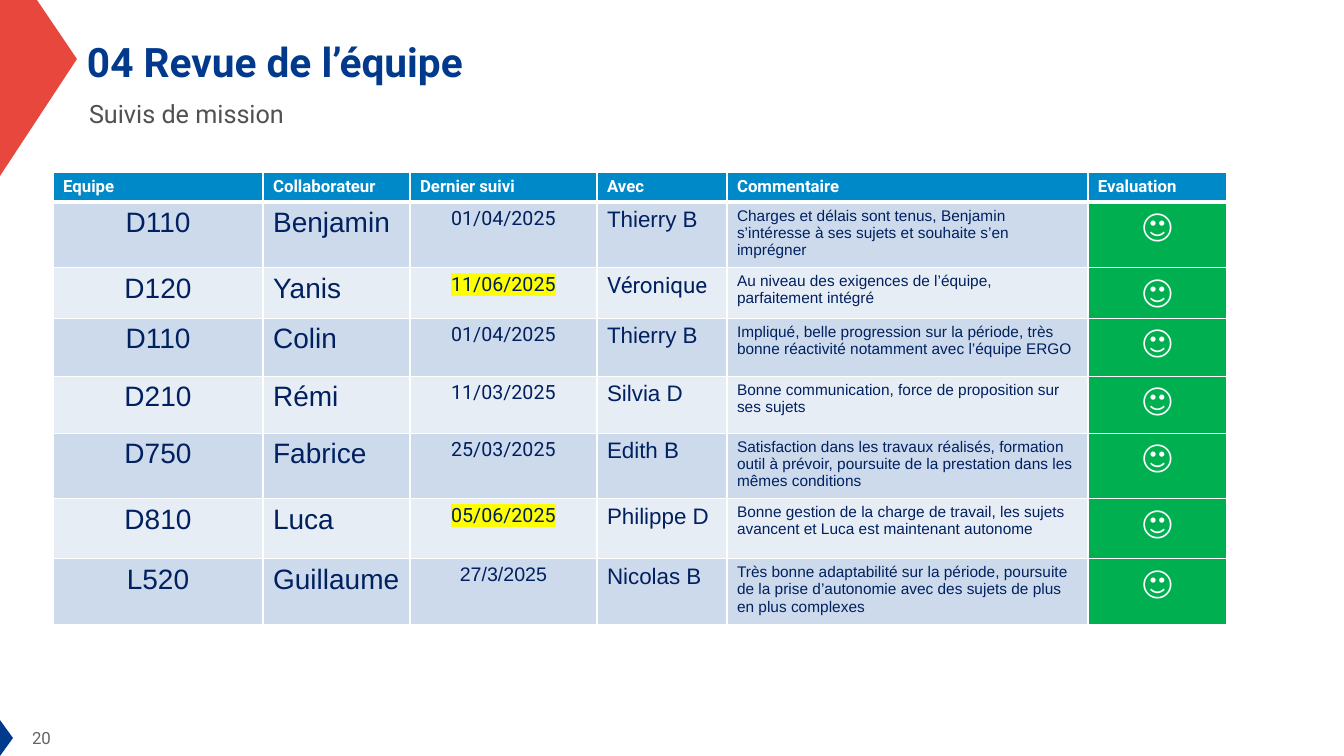
from pptx import Presentation
from pptx.dml.color import RGBColor
from pptx.enum import text
from pptx.oxml import parse_xml
from pptx.oxml.ns import nsdecls
from pptx.util import Pt

# Content
HEAD = ["Equipe", "Collaborateur", "Dernier suivi", "Avec", "Commentaire", "Evaluation"]
TEAM = [
    ("D110", "Benjamin", "01/04/2025", "Thierry B",
     "Charges et délais sont tenus, Benjamin s’intéresse à ses sujets et souhaite s’en imprégner"),
    ("D120", "Yanis", "11/06/2025", "Véronique",
     "Au niveau des exigences de l’équipe, parfaitement intégré"),
    ("D110", "Colin", "01/04/2025", "Thierry B",
     "Impliqué, belle progression sur la période, très bonne réactivité notamment avec l’équipe ERGO"),
    ("D210", "Rémi", "11/03/2025", "Silvia D",
     "Bonne communication, force de proposition sur ses sujets"),
    ("D750", "Fabrice", "25/03/2025", "Edith B",
     "Satisfaction dans les travaux réalisés, formation outil à prévoir, poursuite de la prestation "
     "dans les mêmes conditions"),
    ("D810", "Luca", "05/06/2025", "Philippe D",
     "Bonne gestion de la charge de travail, les sujets avancent et Luca est maintenant autonome"),
    ("L520", "Guillaume", "27/3/2025", "Nicolas B",
     "Très bonne adaptabilité sur la période, poursuite de la prise d’autonomie avec des sujets "
     "de plus en plus complexes"),
]
MOOD = "🙂"
RECENT = {"11/06/2025", "05/06/2025"}
FONTS = {"Véronique": "Roboto", "27/3/2025": "Arial"}
WIDTHS = [210, 147, 187, 130, 361, 139]
HEIGHTS = [28, 60, 47, 58, 57, 60, 60, 47]
BANDS = ["CCDAEB", "E7EDF5"]
WHITE, NAVY, YELLOW = "FFFFFF", "002060", "FFFF00"

# Text format of each body column: size, font, colour, centred
COLS = [
    (20, "Arial", NAVY, True),
    (20, "Arial", NAVY, False),
    (14, "Roboto", NAVY, True),
    (16, "Arial", NAVY, False),
    (11, "Arial", NAVY, False),
    (24, "Arial", WHITE, True),
]

# Outlines: points in px, fill
MARKS = [
    ([(0, 0), (37, 0), (77, 59), (0, 176)], "E7473D"),
    ([(0, 720), (13, 738), (0, 756)], "003A8D"),
]

# Text boxes: words, place, inset, wrap, anchor, line spacing, font
BOXES = [
    ("04 Revue de l’équipe", (79, 0, 1245, 128), 8, True, "MIDDLE", 0.9,
     (29, "Roboto", "013A8D", True)),
    ("20", (24, 720, 44, 36), 8, True, "TOP", 1.0, (12, "Roboto", "666565", False)),
    ("Suivis de mission", (79, 93, 218, 40), 10, False, "TOP", 1.0,
     (18, "Roboto", "515151", False)),
]

SCALE = 914400 / 100.8


def px(n):
    return round(n * SCALE)


def rgb(code):
    return RGBColor.from_string(code)


def fill(part, code):
    part.fill.solid()
    part.fill.fore_color.rgb = rgb(code)


def write(frame, words, size, face, code, bold=False, mark=None):
    para = frame.paragraphs[0]
    run = para.add_run()
    run.text = words
    run.font.color.rgb = rgb(code)
    if mark:
        run.font._element.append(parse_xml(
            f'<a:highlight {nsdecls("a")}><a:srgbClr val="{mark}"/></a:highlight>'))
    for key, val in {"size": Pt(size), "name": face, "bold": bold}.items():
        setattr(run.font, key, val)
    return para


def edge(cell, row):
    props = cell._tc.get_or_add_tcPr()
    for side in "LRTB":
        thick = (row, side) in {(0, "B"), (1, "T")}
        props.append(parse_xml(
            f'<a:ln{side} {nsdecls("a")} w="{Pt(3 if thick else 1)}"><a:solidFill>'
            f'<a:srgbClr val="{WHITE}"/></a:solidFill></a:ln{side}>'))


deck = Presentation()
deck.slide_width, deck.slide_height = px(1344), px(756)
slide = deck.slides.add_slide(deck.slide_layouts[6])

# Corner marks
for points, code in MARKS:
    pen = slide.shapes.build_freeform(*points[0], scale=SCALE)
    pen.add_line_segments(points[1:])
    mark = pen.convert_to_shape()
    mark.shadow.inherit = False
    mark.line.fill.background()
    fill(mark, code)

# Title, page number and subtitle
for words, place, inset, wrap, anchor, space, font in BOXES:
    frame = slide.shapes.add_textbox(*map(px, place)).text_frame
    style = {"word_wrap": wrap, "vertical_anchor": text.MSO_ANCHOR[anchor],
             "margin_left": px(inset), "margin_right": px(inset),
             "margin_top": px(min(inset, 8)) if wrap else px(5),
             "margin_bottom": px(min(inset, 8)) if wrap else px(5)}
    for key, val in style.items():
        setattr(frame, key, val)
    write(frame, words, *font).line_spacing = space

# Review table
grid = slide.shapes.add_table(len(HEIGHTS), len(WIDTHS), px(53), px(172),
                              px(sum(WIDTHS)), px(sum(HEIGHTS))).table
for col, wide in zip(grid.columns, WIDTHS):
    col.width = px(wide)
for row, high in zip(grid.rows, HEIGHTS):
    row.height = px(high)
for r, line in enumerate([HEAD] + [(*one, MOOD) for one in TEAM]):
    for c, words in enumerate(line):
        cell = grid.cell(r, c)
        edge(cell, r)
        if r == 0:
            fill(cell, "0089C8")
            write(cell.text_frame, words, 12, "Roboto", WHITE, True)
            continue
        fill(cell, "00B050" if words == MOOD else BANDS[(r - 1) % 2])
        size, face, code, mid = COLS[c]
        para = write(cell.text_frame, words, size, FONTS.get(words, face), code,
                     mark=YELLOW if words in RECENT else None)
        if mid:
            para.alignment = text.PP_ALIGN.CENTER

deck.save("out.pptx")
